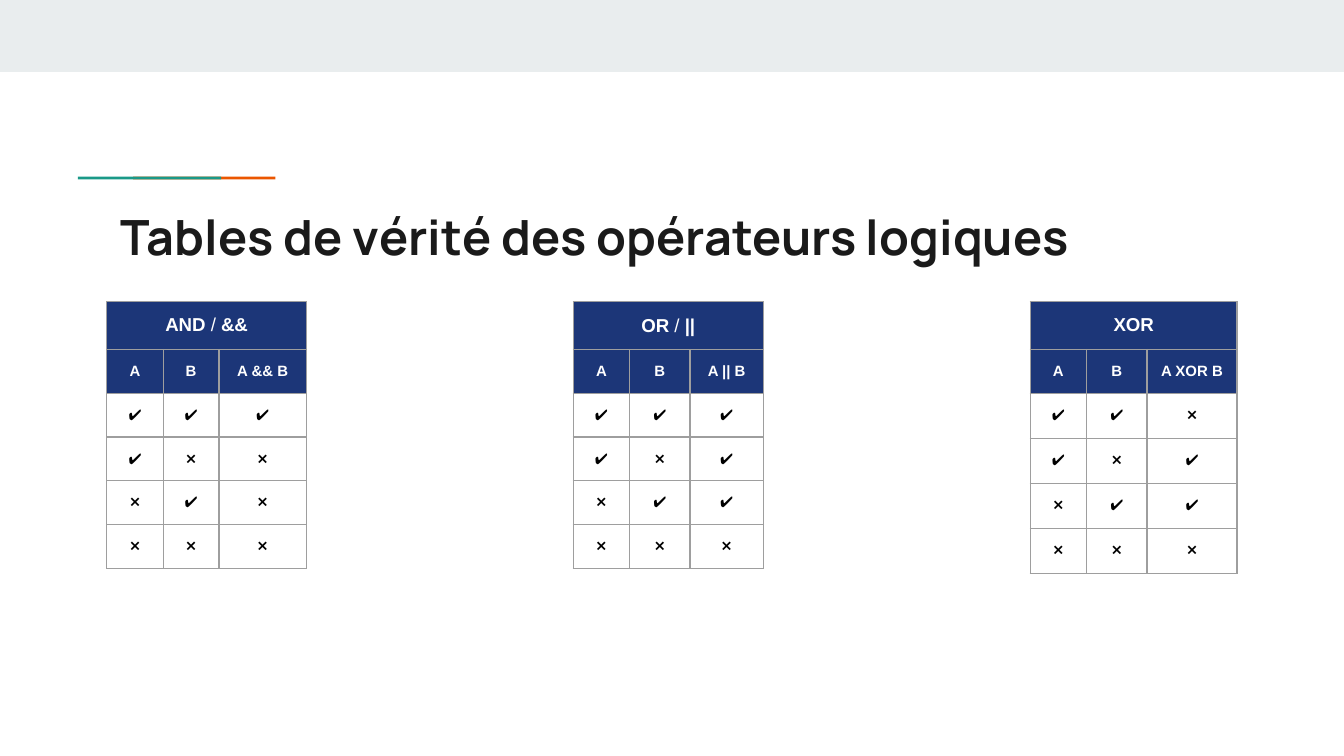
from lxml import etree
from pptx import Presentation
from pptx import util as u
from pptx.dml.color import RGBColor
from pptx.enum import shapes, text
from pptx.oxml import ns

SCALE = 4572  # EMU per px, 200 px to the inch
PAD = 20
SIDE = 656  # frame of each table
HEX = {
    "band": "E9EDEE",
    "orange": "EB5600",
    "green": "1A9988",
    "title": "1A1A1A",
    "head": "1C3678",
    "white": "FFFFFF",
    "mark": "000000",
    "grid": "9E9E9E",
}
MARKS = {True: "✔️", False: "❌"}
PAIRS = [(True, True), (True, False), (False, True), (False, False)]


def px(n):
    return u.Emu(n * SCALE)


def rgb(name):
    return RGBColor.from_string(HEX[name])


def add_run(para, words, size, color, bold=False, font="Arial"):
    run = para.add_run()
    run.text = words
    run.font.size = u.Pt(size)
    run.font.name = font
    run.font.bold = bold
    run.font.color.rgb = rgb(color)


def add_bar(slide, left, top, width, height, color):
    bar = slide.shapes.add_shape(
        shapes.MSO_SHAPE.RECTANGLE, px(left), px(top), px(width), px(height))
    bar.shadow.inherit = False
    bar.fill.solid()
    bar.fill.fore_color.rgb = rgb(color)
    bar.line.fill.background()


def set_title(slide, words):
    title = slide.shapes.title
    title.left, title.top = px(160), px(288)
    title.width, title.height = px(1682), px(118)
    frame = title.text_frame
    frame.word_wrap = True
    frame.auto_size = text.MSO_AUTO_SIZE.NONE
    frame.vertical_anchor = text.MSO_ANCHOR.TOP
    frame.margin_left = frame.margin_right = px(PAD)
    frame.margin_top = frame.margin_bottom = px(PAD)
    para = frame.paragraphs[0]
    para.alignment = text.PP_ALIGN.LEFT
    add_run(para, words, 26, "title", True, "Manrope")


def add_edges(cell):
    props = cell._tc.get_or_add_tcPr()
    for spot, side in enumerate(("lnL", "lnR", "lnT", "lnB")):
        line = etree.Element(ns.qn(f"a:{side}"), w=str(u.Pt(0.75)))
        fill = etree.SubElement(line, ns.qn("a:solidFill"))
        etree.SubElement(fill, ns.qn("a:srgbClr"), val=HEX["grid"])
        props.insert(spot, line)


def fill_cell(cell, runs, size, color, back=None):
    """Write (words, bold) runs into a centred cell."""
    cell.margin_left = cell.margin_right = px(PAD)
    cell.margin_top = cell.margin_bottom = px(PAD)
    if back:
        cell.fill.solid()
        cell.fill.fore_color.rgb = rgb(back)
    else:
        cell.fill.background()
    para = cell.text_frame.paragraphs[0]
    para.alignment = text.PP_ALIGN.CENTER
    for words, bold in runs:
        add_run(para, words, size, color, bold)
    add_edges(cell)


def add_truth(slide, left, cols, body, name, label, rule):
    """Add one truth table, its results worked out by rule(a, b)."""
    rows = [30, 28] + [body] * len(PAIRS)
    frame = slide.shapes.add_table(
        len(rows), len(cols), px(left), px(449), px(SIDE), px(SIDE))
    table = frame.table
    table.first_row = table.horz_banding = False
    for col, width in zip(table.columns, cols):
        col.width = px(width)
    for row, height in zip(table.rows, rows):
        row.height = px(height)
    frame.width = frame.height = px(SIDE)

    # Operator name over all columns
    table.cell(0, 0).merge(table.cell(0, 2))
    for i in range(3):
        fill_cell(table.cell(0, i), [] if i else name, 10, "white", "head")

    # Column heads, then one row for each pair of inputs
    for i, head in enumerate(("A", "B", label)):
        fill_cell(table.cell(1, i), [(head, True)], 8, "white", "head")
    for r, (a, b) in enumerate(PAIRS, 2):
        for i, value in enumerate((a, b, rule(a, b))):
            fill_cell(table.cell(r, i), [(MARKS[value], False)], 8, "mark")
    return table


def main():
    deck = Presentation()
    deck.slide_width, deck.slide_height = px(2000), px(1125)
    slide = deck.slides.add_slide(deck.slide_layouts[5])

    # Top band and two-colour accent
    add_bar(slide, 0, 0, 2000, 107, "band")
    add_bar(slide, 198, 263, 212, 4, "orange")
    add_bar(slide, 116, 263, 213, 4, "green")

    set_title(slide, "Tables de vérité des opérateurs logiques")

    # Truth tables
    add_truth(slide, 159, (84, 83, 130), 26,
              [("AND ", True), ("/ ", False), ("&&", True)],
              "A && B", lambda a, b: a and b)
    either = add_truth(slide, 853, (84, 90, 109), 26,
                       [("OR ", True), ("/ ", False), ("||", True)],
                       "A || B", lambda a, b: a or b)
    either.cell(0, 0).vertical_anchor = text.MSO_ANCHOR.BOTTOM
    add_truth(slide, 1533, (84, 90, 134), 67,
              [("XOR", True)], "A XOR B", lambda a, b: a != b)

    deck.save("out.pptx")


if __name__ == "__main__":
    main()
